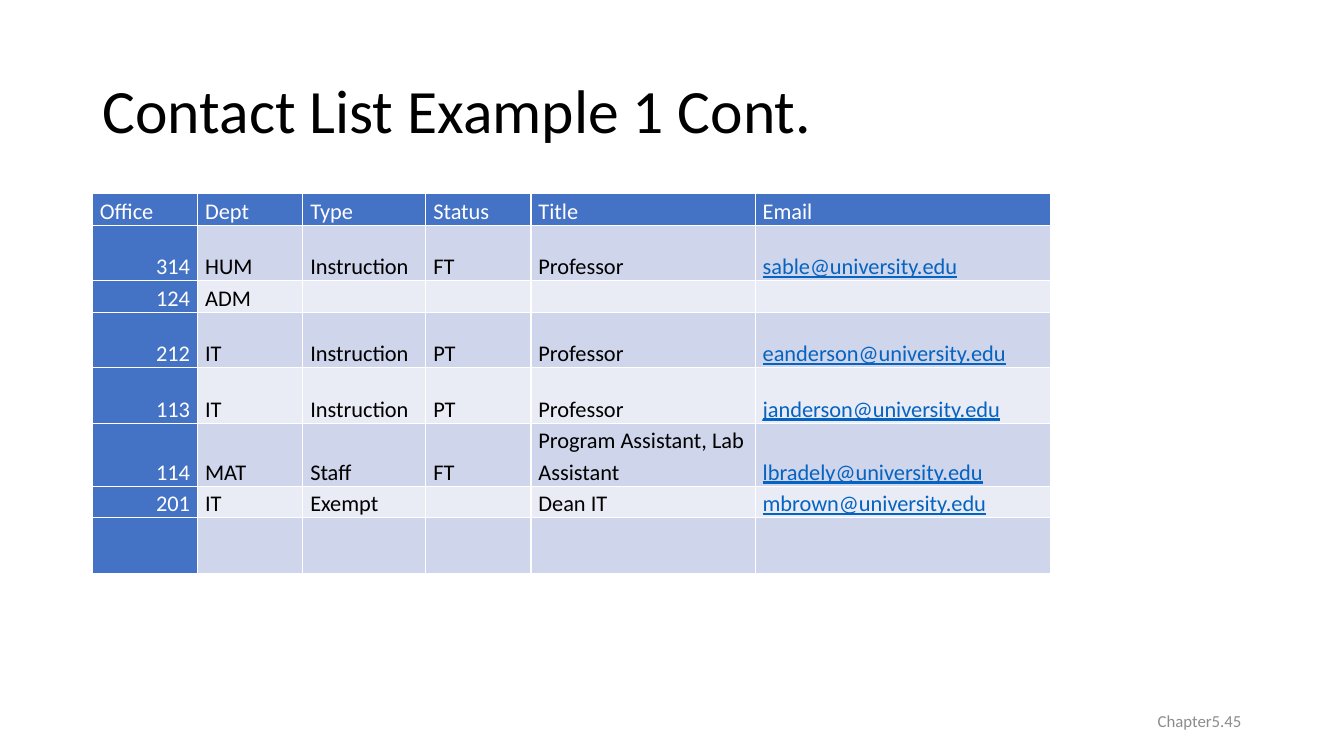
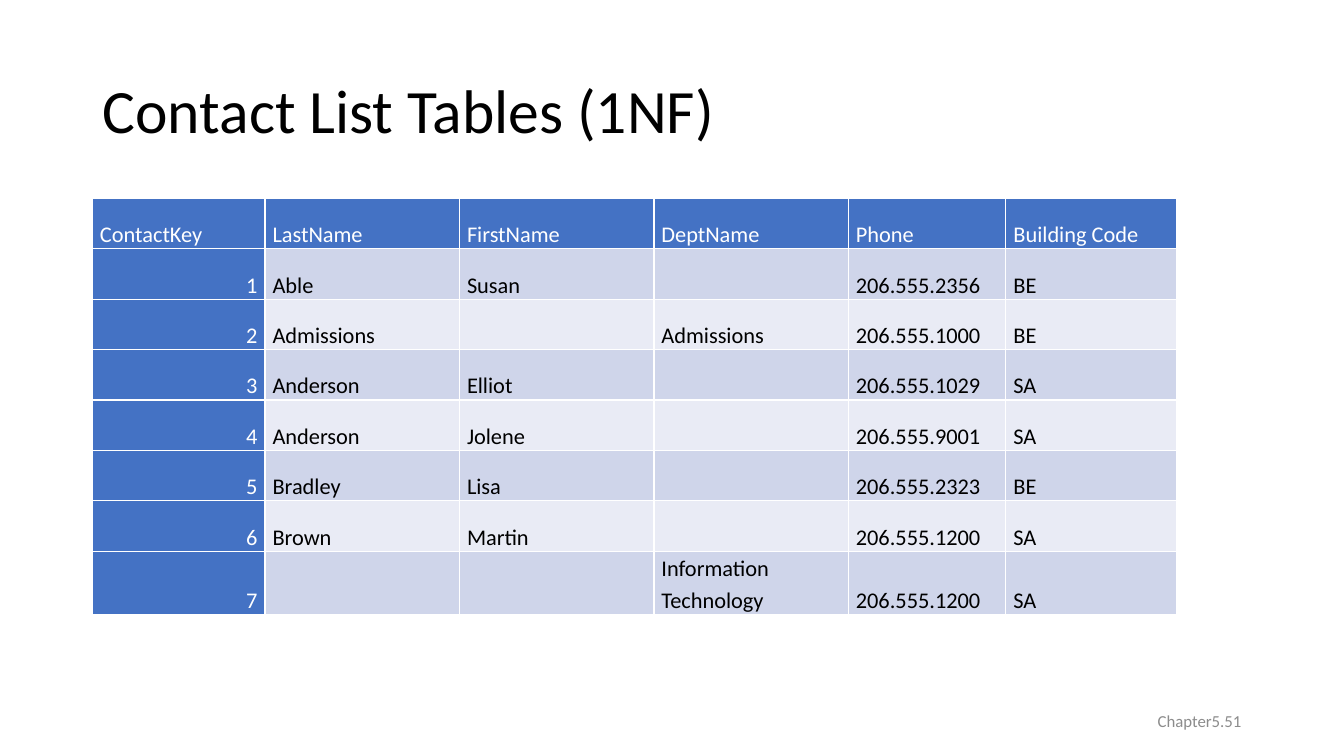
from pptx import Presentation
from pptx.dml.color import RGBColor
from pptx.enum.text import MSO_ANCHOR as Anchor, MSO_AUTO_SIZE as Fit, PP_ALIGN as Align
from pptx.util import Cm, Pt

BLACK = RGBColor(0x00, 0x00, 0x00)
WHITE = RGBColor(0xFF, 0xFF, 0xFF)
BLUE = RGBColor(0x44, 0x72, 0xC4)
BAND = RGBColor(0xCF, 0xD5, 0xEA)
PALE = RGBColor(0xE9, 0xEB, 0xF5)
LINK = RGBColor(0x05, 0x63, 0xC1)
GRAY = RGBColor(0x8C, 0x8C, 0x8C)
FACE = "Calibri"

# Boxes in cm: left, top, width, height
TITLE = (2.33, 1.01, 29.21, 3.68)
FOOT = (23.92, 17.65, 7.62, 1.02)

STAFF = [
    ("Office", "Dept", "Type", "Status", "Title", "Email"),
    ("314", "HUM", "Instruction", "FT", "Professor", "sable@university.edu"),
    ("124", "ADM", "", "", "", ""),
    ("212", "IT", "Instruction", "PT", "Professor", "eanderson@university.edu"),
    ("113", "IT", "Instruction", "PT", "Professor", "janderson@university.edu"),
    ("114", "MAT", "Staff", "FT", "Program Assistant, Lab Assistant",
     "lbradely@university.edu"),
    ("201", "IT", "Exempt", "", "Dean IT", "mbrown@university.edu"),
    ("", "", "", "", "", ""),
]
PEOPLE = [
    ("ContactKey", "LastName", "FirstName", "DeptName", "Phone", "Building Code"),
    ("1", "Able", "Susan", "", "206.555.2356", "BE"),
    ("2", "Admissions", "", "Admissions", "206.555.1000", "BE"),
    ("3", "Anderson", "Elliot", "", "206.555.1029", "SA"),
    ("4", "Anderson", "Jolene", "", "206.555.9001", "SA"),
    ("5", "Bradley", "Lisa", "", "206.555.2323", "BE"),
    ("6", "Brown", "Martin", "", "206.555.1200", "SA"),
    ("7", "", "", "Information Technology", "206.555.1200", "SA"),
]


def style(para, size, color, align=Align.LEFT):
    para.alignment = align
    font = para.font
    font.name, font.size, font.bold = FACE, Pt(size), False
    font.color.rgb = color


def place(shape, box):
    shape.left, shape.top, shape.width, shape.height = map(Cm, box)


def add_title(slide, box, text):
    shape = slide.shapes.title
    place(shape, box)
    frame = shape.text_frame
    frame.text = text
    frame.auto_size = Fit.NONE
    frame.vertical_anchor = Anchor.MIDDLE
    para = frame.paragraphs[0]
    para.line_spacing = 0.9
    style(para, 44, BLACK)


def add_foot(slide, box, text):
    frame = slide.shapes.add_textbox(*map(Cm, box)).text_frame
    frame.word_wrap = True
    frame.vertical_anchor = Anchor.MIDDLE
    frame.text = text
    style(frame.paragraphs[0], 12, GRAY, Align.RIGHT)


def fill_cell(cell, text, row, col):
    head = row == 0 or col == 0
    cell.fill.solid()
    cell.fill.fore_color.rgb = BLUE if head else BAND if row % 2 else PALE
    cell.vertical_anchor = Anchor.BOTTOM
    cell.margin_left = cell.margin_right = Cm(0.19)
    cell.margin_top = cell.margin_bottom = 0
    if not text:
        return
    cell.text = text
    para = cell.text_frame.paragraphs[0]
    para.line_spacing = 1.15
    mail = "@" in text
    color = WHITE if head else LINK if mail else BLACK
    style(para, 16, color, Align.RIGHT if row and not col else Align.LEFT)
    if mail:
        para.font.underline = True


def add_grid(slide, left, top, data, wide, high):
    box = (left, top, sum(wide), sum(high))
    grid = slide.shapes.add_table(len(data), len(wide), *map(Cm, box)).table
    grid.first_col = True
    for col, size in zip(grid.columns, wide):
        col.width = Cm(size)
    for row, size in zip(grid.rows, high):
        row.height = Cm(size)
    for r, line in enumerate(data):
        for c, text in enumerate(line):
            fill_cell(grid.cell(r, c), text, r, c)


def add_page(deck, title, page, top, data, wide, high):
    slide = deck.slides.add_slide(deck.slide_layouts[5])
    add_title(slide, TITLE, title)
    add_grid(slide, TITLE[0], top, data, wide, high)
    add_foot(slide, FOOT, f"Chapter5.{page}")


def main():
    deck = Presentation()
    deck.slide_width, deck.slide_height = Cm(33.87), Cm(19.05)
    # Contact list as first gathered
    add_page(deck, "Contact List Example 1 Cont.", 45, 4.88, STAFF,
             (2.65, 2.65, 3.1, 2.65, 5.65, 7.45),
             (0.71, 1.4, 0.71, 1.4, 1.4, 1.42, 0.71, 1.42))
    # Contact list in first normal form
    add_page(deck, "Contact List Tables (1NF)", 51, 5, PEOPLE,
             (4.35, 4.9, 4.9, 4.9, 3.97, 4.3), [1.27] * 7 + [1.3])
    deck.save("out.pptx")


if __name__ == "__main__":
    main()
